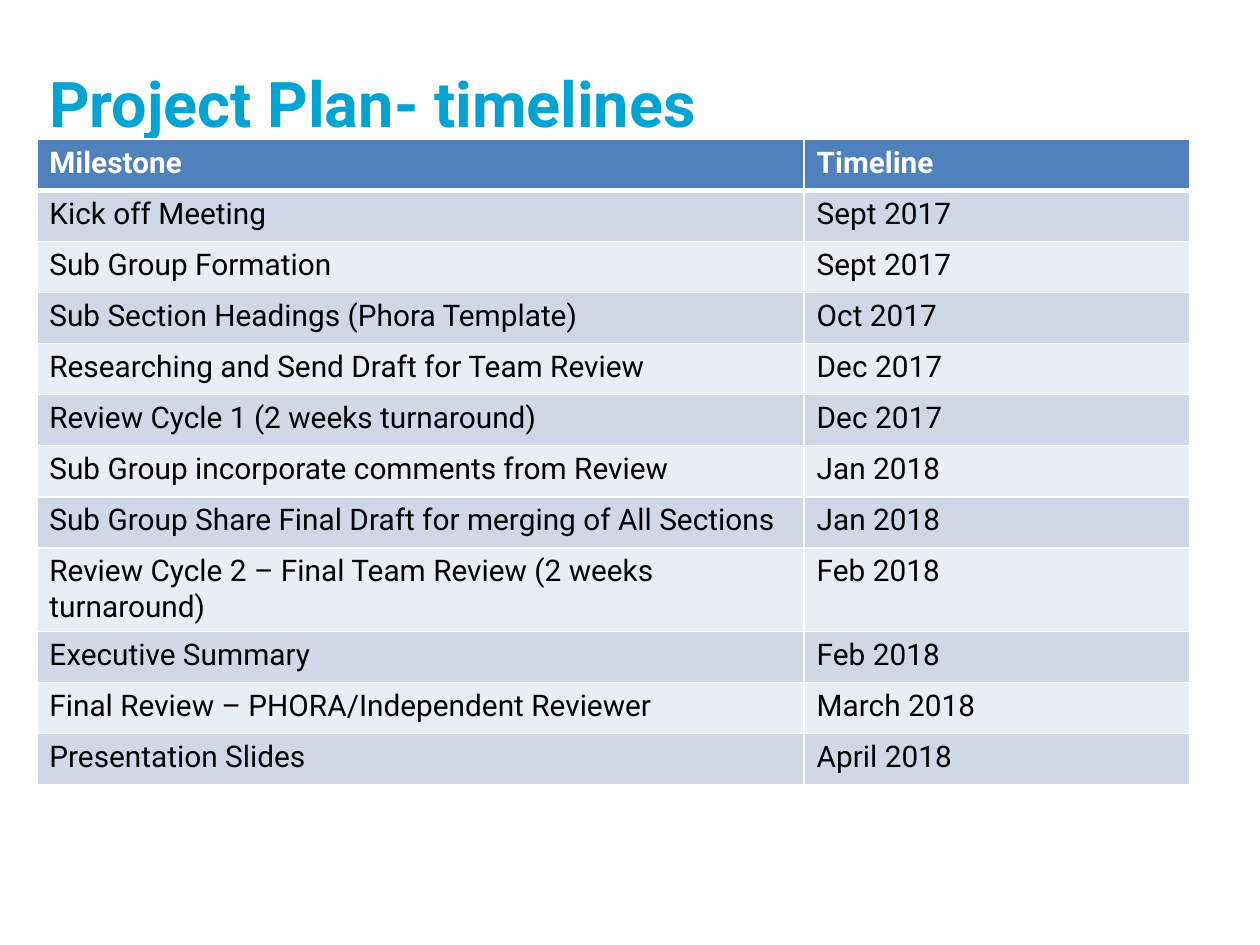
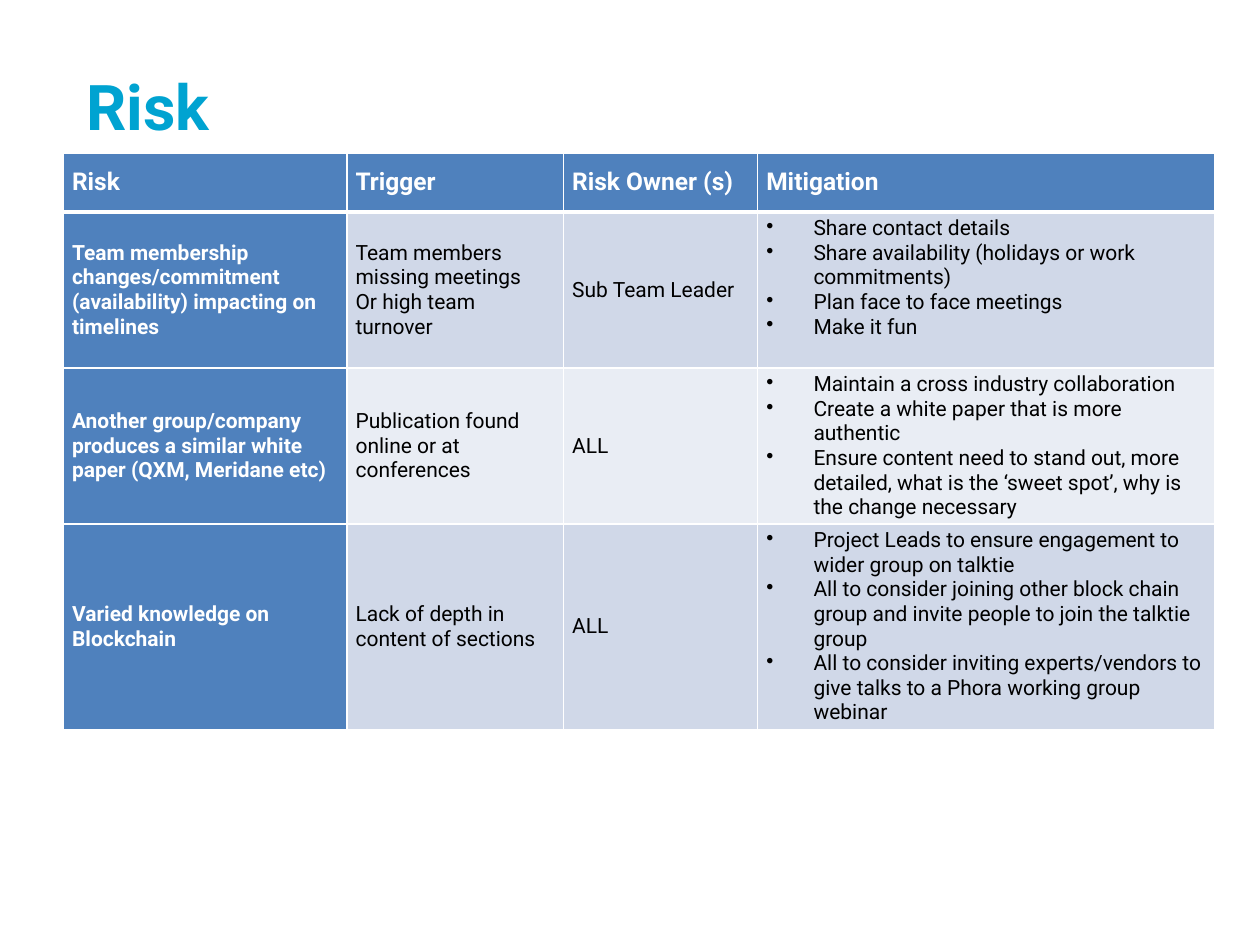
from lxml.etree import SubElement
from pptx import Presentation
from pptx.dml.color import RGBColor
from pptx.enum.text import MSO_ANCHOR as Anchor, PP_ALIGN as Align
from pptx.oxml import parse_xml
from pptx.oxml.ns import nsdecls, qn
from pptx.util import Pt

FONT = "Roboto"
COLORS = {
    "title": "00A3D1",
    "header": "4F81BD",
    "band_dark": "D0D8E8",
    "band_light": "E9EDF4",
    "white": "FFFFFF",
    "black": "000000",
}

# A tuple in a cell is one paragraph each; a list is a bulleted list.
TIMELINE = {
    "title": "Project Plan- timelines",
    "title_box": (21, 33, 659, 80),
    "origin": (21, 79.5),
    "columns": (438.5, 220.3),
    "heights": [29.2] * 8 + [47.8] + [29.2] * 3,
    "margins": (7.2, 3.6),
    "anchor": Anchor.TOP,
    "header_size": 17,
    "body_size": 17,
    "header_column": False,
    "rows": [
        ("Milestone", "Timeline"),
        ("Kick off Meeting", "Sept 2017"),
        ("Sub Group Formation", "Sept 2017"),
        ("Sub Section Headings (Phora Template)", "Oct 2017"),
        ("Researching and Send Draft for Team Review", "Dec 2017"),
        ("Review Cycle 1 (2 weeks turnaround)", "Dec 2017"),
        ("Sub Group incorporate comments from Review", "Jan 2018"),
        ("Sub Group Share Final Draft for merging of All Sections", "Jan 2018"),
        ("Review Cycle 2 – Final Team Review (2 weeks turnaround)", "Feb 2018"),
        ("Executive Summary", "Feb 2018"),
        ("Final Review – PHORA/Independent Reviewer", "March 2018"),
        ("Presentation Slides", "April 2018"),
    ],
}
RISK = {
    "title": "Risk",
    "title_box": (42, 35, 91.5, 51),
    "origin": (36.3, 87.3),
    "columns": (162, 123.8, 110.9, 261.4),
    "heights": [33.8, 89.2, 89.2, 116.8],
    "margins": (4.9, 2.4),
    "anchor": Anchor.MIDDLE,
    "header_size": 14,
    "body_size": 12,
    "header_column": True,
    "rows": [
        ("Risk", "Trigger", "Risk Owner (s)", "Mitigation"),
        (
            "Team membership changes/commitment (availability) impacting on timelines",
            ("Team members missing meetings", "Or high team turnover"),
            "Sub Team Leader",
            [
                "Share contact details",
                "Share availability (holidays or work commitments)",
                "Plan face to face meetings",
                "Make it fun",
            ],
        ),
        (
            "Another group/company produces a similar white paper (QXM, Meridane etc)",
            "Publication found online or at conferences",
            "ALL",
            [
                "Maintain a cross industry collaboration",
                "Create a white paper that is more authentic",
                "Ensure content need to stand out, more detailed, what is the "
                "‘sweet spot’, why is the change necessary",
            ],
        ),
        (
            "Varied knowledge on Blockchain",
            "Lack of depth in content of sections",
            "ALL",
            [
                "Project Leads to ensure engagement to wider group on talktie",
                "All to consider joining other block chain group and invite "
                "people to join the talktie group",
                "All to consider inviting experts/vendors to give talks to a "
                "Phora working group webinar",
            ],
        ),
    ],
}
BULLET_INDENT = 27


def rgb(name):
    return RGBColor.from_string(COLORS[name])


def write(frame, text, *, size, color, bold=False):
    """Fill a text frame; a list becomes bullets, a tuple plain paragraphs."""
    lines = [text] if isinstance(text, str) else text
    for index, line in enumerate(lines):
        para = frame.paragraphs[0] if index == 0 else frame.add_paragraph()
        para.alignment = Align.LEFT
        span = para.add_run()
        span.text = line
        span.font.name = FONT
        span.font.size = Pt(size)
        span.font.bold = bold
        span.font.color.rgb = rgb(color)
        if isinstance(text, list):
            props = para._p.get_or_add_pPr()
            props.set("marL", str(Pt(BULLET_INDENT)))
            props.set("indent", str(-Pt(BULLET_INDENT)))
            SubElement(props, qn("a:buChar"), char="•")


def set_borders(cell, top, bottom):
    """Draw white borders; they must come before the fill in the cell's XML."""
    props = cell._tc.get_or_add_tcPr()
    widths = {"lnL": 1, "lnR": 1, "lnT": top, "lnB": bottom}
    for index, (side, width) in enumerate(widths.items()):
        props.insert(index, parse_xml(
            f'<a:{side} {nsdecls("a")} w="{Pt(width)}"><a:solidFill>'
            f'<a:srgbClr val="{COLORS["white"]}"/></a:solidFill></a:{side}>'))


def add_title(page, text, bounds):
    title = page.shapes.title
    title.left, title.top, title.width, title.height = map(Pt, bounds)
    title.text_frame.word_wrap = True
    title.text_frame.vertical_anchor = Anchor.TOP
    write(title.text_frame, text, size=36, color="title", bold=True)


def add_grid(page, content):
    rows, columns, heights = content["rows"], content["columns"], content["heights"]
    bounds = (*content["origin"], sum(columns), sum(heights))
    table = page.shapes.add_table(len(rows), len(columns), *map(Pt, bounds)).table
    for column, width in zip(table.columns, columns):
        column.width = Pt(width)
    for row, height in zip(table.rows, heights):
        row.height = Pt(height)

    across, down = map(Pt, content["margins"])
    for r, values in enumerate(rows):
        for c, text in enumerate(values):
            cell = table.cell(r, c)
            is_header = r == 0 or (c == 0 and content["header_column"])
            band = "band_dark" if r % 2 else "band_light"
            cell.fill.solid()
            cell.fill.fore_color.rgb = rgb("header" if is_header else band)
            set_borders(cell, top=3 if r == 1 else 1, bottom=3 if r == 0 else 1)
            cell.margin_left = cell.margin_right = across
            cell.margin_top = cell.margin_bottom = down
            # Bullets hang from the top of their cell
            is_list = isinstance(text, list)
            cell.vertical_anchor = Anchor.TOP if is_list else content["anchor"]
            write(cell.text_frame, text,
                  size=content["header_size" if r == 0 else "body_size"],
                  color="white" if is_header else "black", bold=is_header)


def main():
    deck = Presentation()
    deck.slide_width, deck.slide_height = Pt(720), Pt(540)
    title_only = deck.slide_layouts[5]
    for content in (TIMELINE, RISK):
        page = deck.slides.add_slide(title_only)
        add_title(page, content["title"], content["title_box"])
        add_grid(page, content)
    deck.save("out.pptx")


if __name__ == "__main__":
    main()
